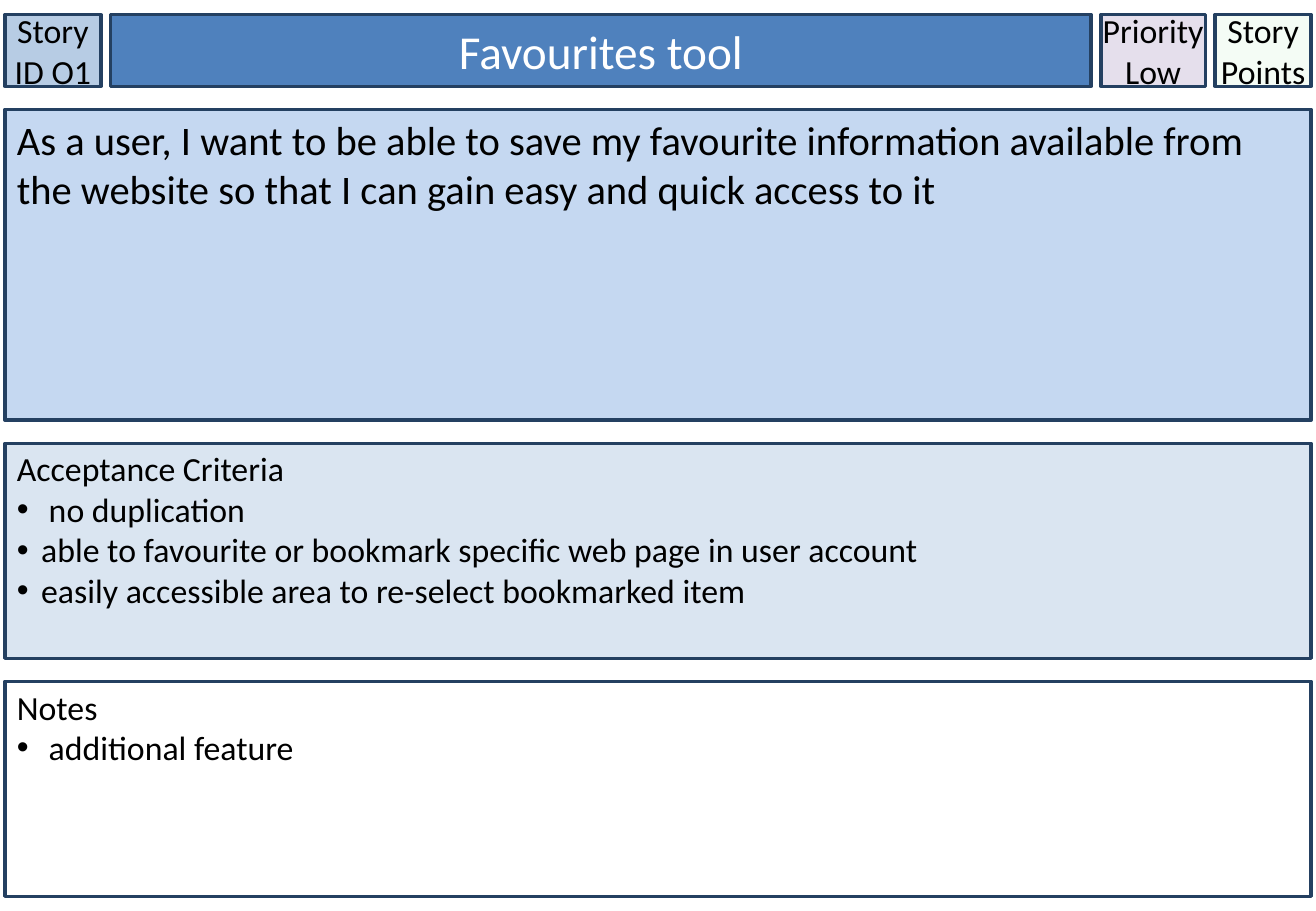
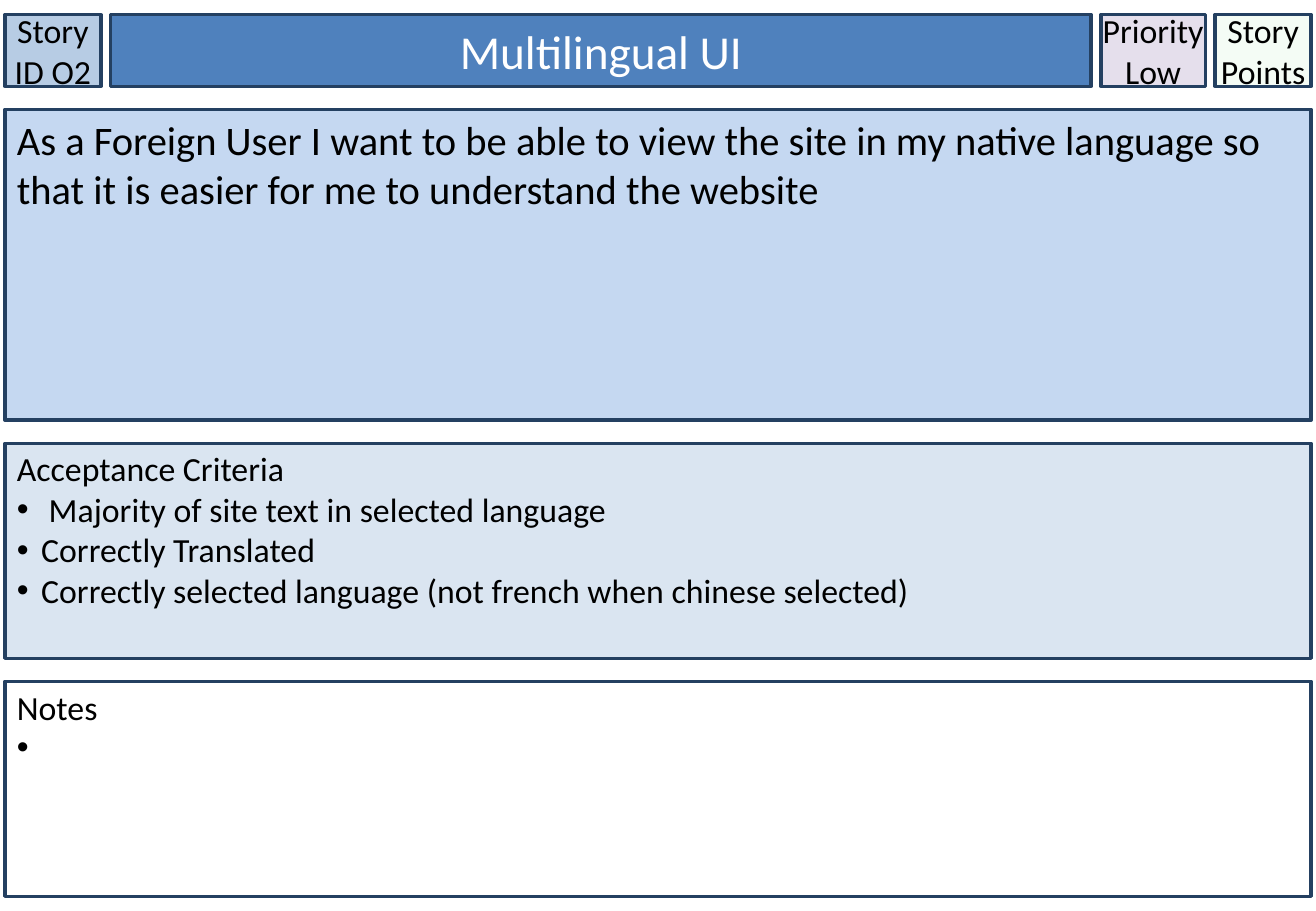
"""Builds two user story cards, one per slide."""
from lxml.etree import SubElement
from pptx import Presentation
from pptx.dml.color import RGBColor
from pptx.enum.shapes import MSO_SHAPE
from pptx.enum.text import MSO_ANCHOR, MSO_AUTO_SIZE, PP_ALIGN
from pptx.oxml.ns import qn
from pptx.util import Inches, Pt

LINE, BLACK, WHITE = "244061", "000000", "FFFFFF"
LEFT, TOP, WIDTH = 0.04, 0.12, 10.75
HEAD_H, GAP_X, GAP_Y = 0.59, 0.08, 0.19
HEADER = {"margin_left": 0, "margin_right": 0, "vertical_anchor": MSO_ANCHOR.MIDDLE}
TITLE = {"vertical_anchor": MSO_ANCHOR.MIDDLE}
STORY = {"vertical_anchor": MSO_ANCHOR.TOP}
DETAIL = {"vertical_anchor": MSO_ANCHOR.TOP, "margin_top": Inches(0.04)}

CARDS = [
    {
        "id": "Story ID O1",
        "title": "Favourites tool",
        "story": "As a user, I want to be able to save my favourite information "
                 "available from the website so that I can gain easy and quick access to it",
        "criteria": [
            " no duplication",
            "able to favourite or bookmark specific web page in user account",
            "easily accessible area to re-select bookmarked item",
        ],
        "notes": [" additional feature"],
    },
    {
        "id": "Story ID O2",
        "title": "Multilingual UI",
        "story": "As a Foreign User I want to be able to view the site in my native "
                 "language so that it is easier for me to understand the website",
        "criteria": [
            " Majority of site text in selected language",
            "Correctly Translated",
            "Correctly selected language (not french when chinese selected)",
        ],
        "notes": [" "],
    },
]


def rgb(value):
    return RGBColor.from_string(value)


def format_box(sp, fill, lines, size, frame, align=PP_ALIGN.LEFT, color=BLACK):
    sp.shadow.inherit = False
    sp.fill.solid()
    sp.fill.fore_color.rgb = rgb(fill)
    sp.line.color.rgb = rgb(LINE)
    sp.line.width = Pt(2)
    tf = sp.text_frame
    tf.word_wrap = True
    tf.auto_size = MSO_AUTO_SIZE.NONE
    for name, value in frame.items():
        setattr(tf, name, value)
    for i, text in enumerate(lines):
        p = tf.add_paragraph() if i else tf.paragraphs[0]
        p.alignment = align
        r = p.add_run()
        r.text = text
        for name, value in {"name": "Calibri", "size": Pt(size)}.items():
            setattr(r.font, name, value)
        r.font.color.rgb = rgb(color)
        if i:
            pPr = p._p.get_or_add_pPr()
            pPr.set("marL", str(Inches(0.2)))
            pPr.set("indent", str(-Inches(0.2)))
            SubElement(pPr, qn("a:buFont"), typeface="Arial")
            SubElement(pPr, qn("a:buChar"), char="•")


prs = Presentation()
prs.slide_width, prs.slide_height = Inches(10.83), Inches(7.5)

for card in CARDS:
    s = prs.slides.add_slide(prs.slide_layouts[5])

    x = LEFT
    for w, fill, text in [
        (0.79, "B7CCE4", card["id"]),
        (8.07, "4F81BD", None),
        (0.86, "E5DFEC", "Priority Low"),
        (0.79, "CCF0CD", "Story Points"),
    ]:
        box = [Inches(v) for v in (x, TOP, w, HEAD_H)]
        if text is None:
            sp = s.shapes.title
            sp.left, sp.top, sp.width, sp.height = box
            format_box(sp, fill, [card["title"]], 28, TITLE, PP_ALIGN.CENTER, WHITE)
        else:
            sp = s.shapes.add_shape(MSO_SHAPE.RECTANGLE, *box)
            format_box(sp, fill, [text], 20, HEADER, PP_ALIGN.CENTER)
        x += w + GAP_X
    points_fill = sp._element.spPr.find(qn("a:solidFill"))
    SubElement(points_fill[0], qn("a:alpha"), val="20000")

    y = TOP + HEAD_H + GAP_Y
    for h, fill, lines, size, frame in [
        (2.56, "C5D8F1", [card["story"]], 24, STORY),
        (1.77, "DAE5F1", ["Acceptance Criteria", *card["criteria"]], 20, DETAIL),
        (1.77, WHITE, ["Notes", *card["notes"]], 20, DETAIL),
    ]:
        box = [Inches(v) for v in (LEFT, y, WIDTH, h)]
        sp = s.shapes.add_shape(MSO_SHAPE.RECTANGLE, *box)
        format_box(sp, fill, lines, size, frame)
        y += h + GAP_Y

prs.save("out.pptx")
